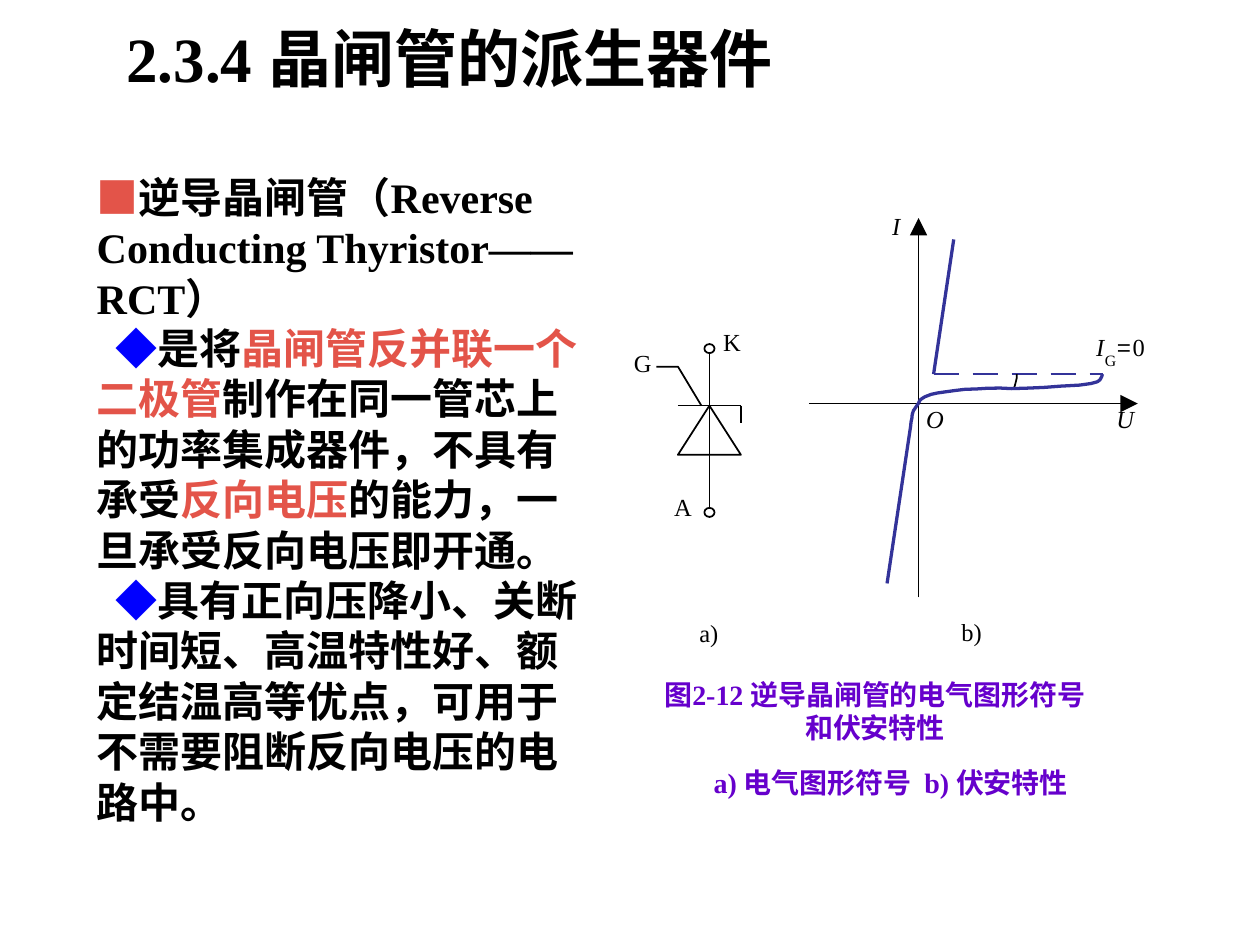
import pptx
import pptx.dml.color
import pptx.enum.shapes
import pptx.enum.text
import pptx.oxml.ns
import pptx.util
from lxml import etree

Pt = pptx.util.Pt
SHAPES = pptx.enum.shapes.MSO_SHAPE
ALIGN = pptx.enum.text.PP_ALIGN
ANCHOR = pptx.enum.text.MSO_ANCHOR
AUTO_SIZE = pptx.enum.text.MSO_AUTO_SIZE
qn = pptx.oxml.ns.qn

LATIN, CHINESE = "Times New Roman", "Noto Sans CJK SC"
BLACK, RED, BLUE, PURPLE, CURVE = "000000", "E35449", "0000FF", "6600CC", "333399"


def color(hex_string):
    return pptx.dml.color.RGBColor.from_string(hex_string)


def add_text(place, paragraphs, font, frame_format, para_format):
    """Add a text box; each paragraph is a list of (text, colour) runs."""
    box = slide.shapes.add_textbox(*map(Pt, place))
    for name, value in frame_format.items():
        setattr(box.text_frame, name, value)
    for index, runs in enumerate(paragraphs):
        para = box.text_frame.paragraphs[0] if index == 0 else box.text_frame.add_paragraph()
        for name, value in para_format.items():
            setattr(para, name, value)
        for text, hex_string in runs:
            span = para.add_run()
            span.text = text
            for name, value in font.items():
                setattr(span.font, name, value)
            span.font.color.rgb = color(hex_string)
            east_asian = etree.SubElement(span.font._element, qn("a:ea"))
            east_asian.set("typeface", CHINESE)
    return box


deck = pptx.Presentation()
deck.slide_width, deck.slide_height = Pt(720), Pt(540)
slide = deck.slides.add_slide(deck.slide_layouts[6])

# Title and body
add_text((65.2, 23.4, 617.8, 18.7), [[("2.3.4 晶闸管的派生器件", BLACK)]],
         {"name": LATIN, "size": Pt(36), "bold": True},
         {"word_wrap": True, "vertical_anchor": ANCHOR.MIDDLE}, {})

body = add_text(
    (48.2, 94.3, 295.2, 381.6),
    [[("■", RED), ("逆导晶闸管（Reverse Conducting Thyristor——RCT）", BLACK)],
     [("◆", BLUE), ("是将", BLACK), ("晶闸管反并联一个二极管", RED),
      ("制作在同一管芯上的功率集成器件，不具有承受", BLACK), ("反向电压", RED),
      ("的能力，一旦承受反向电压即开通。", BLACK)],
     [("◆", BLUE), ("具有正向压降小、关断时间短、高温特性好、额定结温高等优点，"
                    "可用于不需要阻断反向电压的电路中。", BLACK)]],
    {"name": LATIN, "size": Pt(24), "bold": True},
    {"word_wrap": True, "auto_size": AUTO_SIZE.SHAPE_TO_FIT_TEXT}, {})
for para in body.text_frame.paragraphs[1:]:
    para._p.get_or_add_pPr().set("indent", str(Pt(11)))

# Straight lines: start, end, colour, width, arrowhead at the end
lines = [
    ((387.4, 231.8), (423.4, 231.8), BLACK, 1, False),
    ((423.4, 231.8), (423.4, 241.9), BLACK, 1, False),
    ((405.4, 290.2), (405.4, 202.3), BLACK, 1, False),
    ((462.2, 230.6), (650.2, 230.6), BLACK, 1, True),
    ((524.9, 341.3), (524.9, 124.6), BLACK, 1, True),
    ((533.5, 213.8), (545, 136.8), CURVE, 1.87, False),
]
for index in range(5):
    dash_start = 533.5 + 22.3 * index
    lines.append(((dash_start, 213.8), (min(dash_start + 14.4, 630), 213.8), CURVE, 1, False))

for start, end, hex_string, width, has_arrow in lines:
    line = slide.shapes.add_connector(
        pptx.enum.shapes.MSO_CONNECTOR.STRAIGHT, *map(Pt, start + end))
    line.line.color.rgb = color(hex_string)
    line.line.width = Pt(width)
    if has_arrow:
        head = etree.SubElement(line.line._get_or_add_ln(), qn("a:tailEnd"))
        for name, value in {"type": "triangle", "w": "lg", "len": "lg"}.items():
            head.set(name, value)
    etree.SubElement(line._element.spPr, qn("a:effectLst"))

# Thyristor body and terminals, then bent lines and characteristic curves
outlines = []
for preset, place in [
    (SHAPES.ISOSCELES_TRIANGLE, (387.4, 231.8, 36, 28.1)),
    (SHAPES.OVAL, (402.5, 196.6, 5.8, 5.2)),
    (SHAPES.OVAL, (402.5, 290.2, 5.8, 5.2)),
]:
    outlines.append((slide.shapes.add_shape(preset, *map(Pt, place)), BLACK, 1))

gate = [(400.8, 231.8), (387.4, 209.5), (375.1, 209.5)]
gate_arc = [(581, 213.8), (581, 216), (580.3, 218.9), (579.6, 221.5), (578.2, 221.9)]
forward_curve = [
    (524.9, 230.4), (525.6, 229), (526.3, 228.2), (528.5, 226.8), (532.1, 225.4),
    (535.7, 224.6), (540.7, 223.9), (545.8, 223.2), (551.5, 222.5), (558, 222.3),
    (564.5, 221.9), (571.7, 221.8), (578.2, 222.1), (588.2, 221.8), (596.9, 221.4),
    (606.2, 220.7), (617, 220.1), (623.5, 219.2), (627.1, 218.2), (628.6, 217.1),
    (629.6, 215.3), (630, 213.8),
]
reverse_curve = [
    (524.9, 230.4), (523.4, 232.6), (522, 234.7), (521.3, 236.9), (521.1, 239),
    (520.6, 241.2), (520.4, 243.4), (506.9, 333.4),
]
for points, hex_string, width in [
    (gate, BLACK, 1), (gate_arc, BLACK, 1),
    (forward_curve, CURVE, 1.87), (reverse_curve, CURVE, 1.87),
]:
    corners = [(Pt(x), Pt(y)) for x, y in points]
    builder = slide.shapes.build_freeform(*corners[0])
    builder.add_line_segments(corners[1:], close=False)
    outlines.append((builder.convert_to_shape(), hex_string, width))

for shape, hex_string, width in outlines:
    shape.shadow.inherit = False
    shape.fill.background()
    shape.line.color.rgb = color(hex_string)
    shape.line.width = Pt(width)

# Labels: text, left, top, width, size, italic, font
label_frame = {"margin_left": 0, "margin_right": 0, "margin_top": 0, "margin_bottom": 0,
               "word_wrap": False, "auto_size": AUTO_SIZE.SHAPE_TO_FIT_TEXT}
for text, left, top, width, size, italic, font_name in [
    ("a)", 399.6, 355, 14, 14, False, LATIN),
    ("K", 413.3, 188.6, 10.1, 14, False, LATIN),
    ("G", 362.2, 200.9, 10.1, 14, False, LATIN),
    ("A", 385.2, 283, 10.1, 14, False, LATIN),
    ("b)", 549.4, 354.2, 14, 14, False, LATIN),
    ("U", 637.9, 232.6, 10.1, 14, True, LATIN),
    ("O", 529.2, 232.6, 10.1, 14, True, LATIN),
    ("I", 509.8, 122.4, 5, 14, True, LATIN),
    ("I", 626.4, 191.5, 5, 14, True, LATIN),
    ("G", 631.4, 201.6, 6.5, 9, False, LATIN),
    ("=", 638.6, 192.2, 7.9, 14, False, CHINESE),
    ("0", 647.3, 191.5, 7.2, 14, False, LATIN),
]:
    add_text((left, top, width, size * 1.08), [[(text, BLACK)]],
             {"name": font_name, "size": Pt(size), "italic": italic},
             label_frame, {"line_spacing": 0.9})

# Caption
caption = add_text(
    (368.6, 383.4, 262.8, 79.2),
    [[("图2-12 逆导晶闸管的电气图形符号", PURPLE)], [("和伏安特性", PURPLE)],
     [("a) 电气图形符号  b) 伏安特性", PURPLE)]],
    {"name": LATIN, "size": Pt(16), "bold": True},
    {"word_wrap": False, "auto_size": AUTO_SIZE.SHAPE_TO_FIT_TEXT}, {"alignment": ALIGN.CENTER})
legend = caption.text_frame.paragraphs[2]
legend.space_before = Pt(12)
legend._p.get_or_add_pPr().set("marL", str(Pt(18)))

deck.save("out.pptx")
